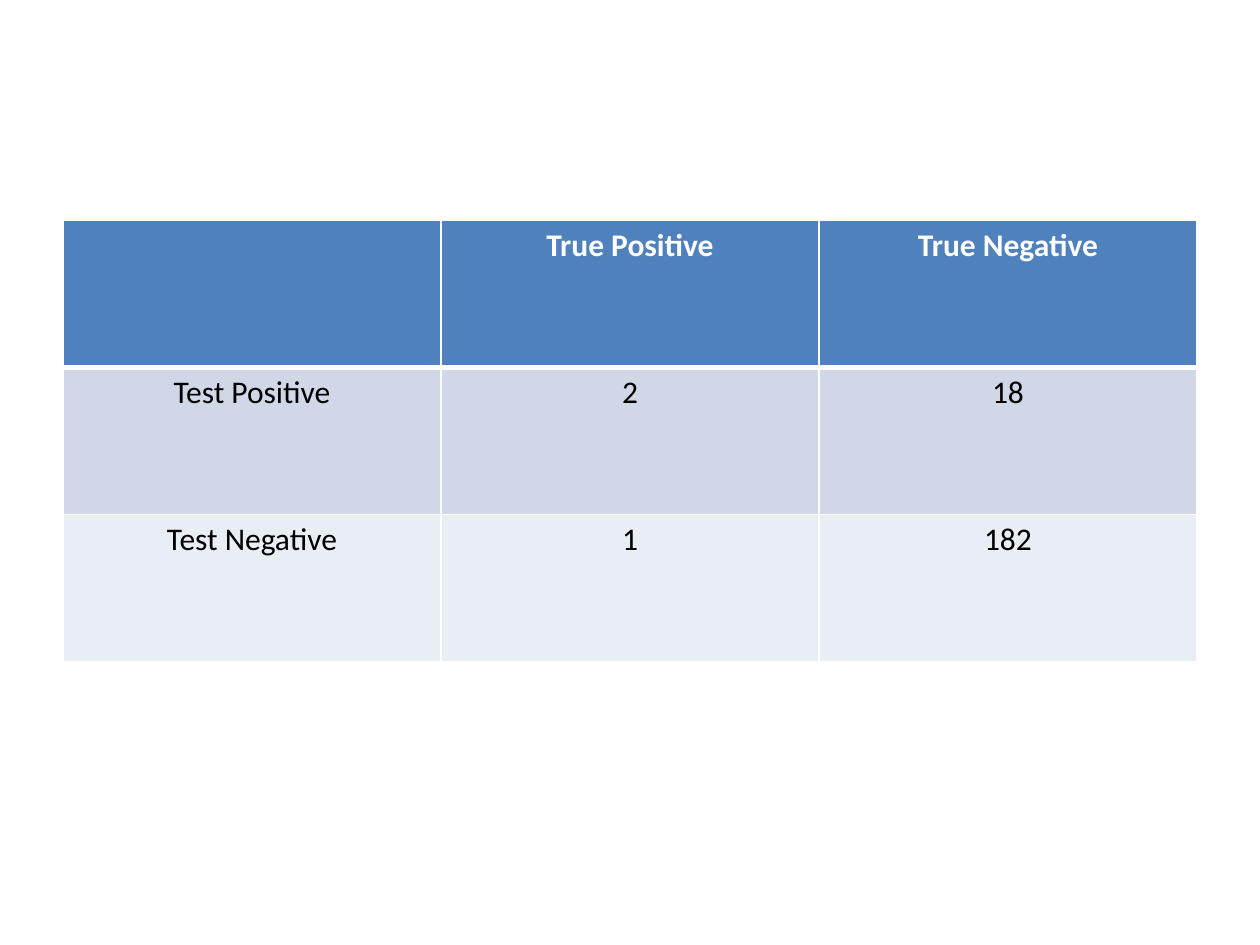
from lxml import etree
from pptx import Presentation
from pptx.dml.color import RGBColor
from pptx.enum import text
from pptx.oxml import ns
from pptx.util import Inches, Pt


def color(hex_string):
    return RGBColor.from_string(hex_string)


def add_border(cell, side, width, hex_string):
    """Draw one side (L, R, T or B); call before the cell is filled."""
    properties = cell._tc.get_or_add_tcPr()
    line = etree.SubElement(properties, ns.qn(f"a:ln{side}"), w=str(Pt(width)))
    fill = etree.SubElement(line, ns.qn("a:solidFill"))
    etree.SubElement(fill, ns.qn("a:srgbClr"), val=hex_string)


presentation = Presentation()
presentation.slide_width = Inches(10)
presentation.slide_height = Inches(7.5)
slide = presentation.slides.add_slide(presentation.slide_layouts[6])

results = [
    ["", "True Positive", "True Negative"],
    ["Test Positive", "2", "18"],
    ["Test Negative", "1", "182"],
]
row_fills = ["4F81BD", "D0D8E8", "E9EDF4"]

table = slide.shapes.add_table(
    len(results), len(results[0]), Inches(0.5), Inches(1.75), Inches(9), Inches(3.5)
).table

for row_index, (labels, row_fill) in enumerate(zip(results, row_fills)):
    is_header = row_index == 0
    for column_index, label in enumerate(labels):
        cell = table.cell(row_index, column_index)
        border_widths = {
            "L": 1,
            "R": 1,
            "T": 3 if row_index == 1 else 1,
            "B": 3 if is_header else 1,
        }
        for side, width in border_widths.items():
            add_border(cell, side, width, "FFFFFF")
        cell.fill.solid()
        cell.fill.fore_color.rgb = color(row_fill)

        if label:
            paragraph = cell.text_frame.paragraphs[0]
            paragraph.alignment = text.PP_ALIGN.CENTER
            run = paragraph.add_run()
            run.text = label
            run.font.name = "Calibri"
            run.font.size = Pt(18)
            run.font.bold = is_header
            run.font.color.rgb = color("FFFFFF" if is_header else "000000")

presentation.save("out.pptx")
